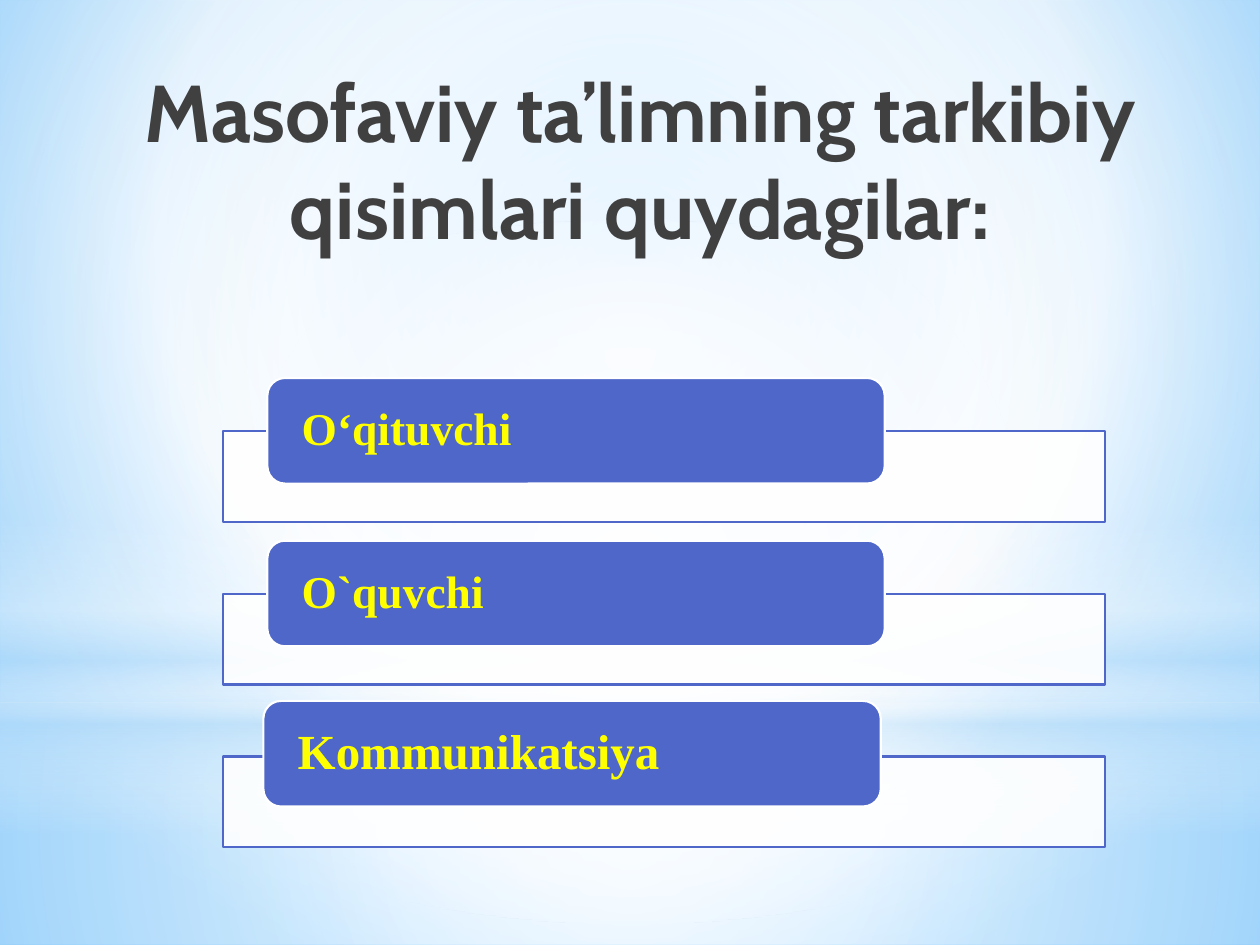
import pptx
import pptx.util
import pptx.dml.color
import pptx.enum.shapes
import pptx.enum.text
import pptx.oxml.ns
from lxml import etree

Cm, Pt = pptx.util.Cm, pptx.util.Pt
RGB = pptx.dml.color.RGBColor
SHAPE = pptx.enum.shapes.MSO_SHAPE
ANCHOR = pptx.enum.text.MSO_ANCHOR
ALIGN = pptx.enum.text.PP_ALIGN
qn = pptx.oxml.ns.qn

WHITE = RGB(0xFF, 0xFF, 0xFF)
PALE = RGB(0xB4, 0xDC, 0xFA)
SKY = RGB(0x9E, 0xD5, 0xFF)
AZURE = RGB(0x5B, 0xB9, 0xFF)
INDIGO = RGB(0x4E, 0x67, 0xC8)
YELLOW = RGB(0xFF, 0xFF, 0x00)
CHARCOAL = RGB(0x40, 0x40, 0x40)

CENTRE = (50, 50, 50, 50)
WIDTH, HEIGHT = 25.4, 19.05


def set_alpha(color, opacity):
    etree.SubElement(color, qn("a:alpha"), val=str(opacity * 1000))


def set_gradient(fill, owner, stops, focus=None):
    """Stops are (position, colour, opacity); no focus means top to bottom."""
    fill.gradient()
    grad = owner.find(".//" + qn("a:gradFill"))
    for child in list(grad):
        grad.remove(child)
    gs_list = etree.SubElement(grad, qn("a:gsLst"))
    for position, color, opacity in stops:
        gs = etree.SubElement(gs_list, qn("a:gs"), pos=str(position * 1000))
        clr = etree.SubElement(gs, qn("a:srgbClr"), val=str(color))
        if opacity < 100:
            set_alpha(clr, opacity)
    if focus:
        radial = etree.SubElement(grad, qn("a:path"), path="circle")
        sides = {k: str(v * 1000) for k, v in zip("ltrb", focus)}
        etree.SubElement(radial, qn("a:fillToRect"), **sides)
    else:
        etree.SubElement(grad, qn("a:lin"), ang="5400000", scaled="0")


def add_box(s, kind, left, top, width, height):
    sp = s.shapes.add_shape(kind, Cm(left), Cm(top), Cm(width), Cm(height))
    sp.shadow.inherit = False
    return sp


def add_backdrop(s, left, top, width, height):
    set_gradient(s.background.fill, s.element,
                 [(0, SKY, 100), (60, WHITE, 100), (100, AZURE, 100)],
                 (20, 10, 20, 60))
    horizon = 14.17
    # Glow layers: shape, top offset, height, stops, focus
    layers = [
        (SHAPE.RECTANGLE, horizon, height - horizon,
         [(0, WHITE, 91), (37, WHITE, 76), (100, PALE, 79)], CENTRE),
        (SHAPE.RECTANGLE, 0, horizon,
         [(0, WHITE, 89), (48, WHITE, 62), (100, PALE, 79)], CENTRE),
        (SHAPE.RECTANGLE, 10.46, 6.35,
         [(0, WHITE, 0), (29, WHITE, 30), (45, PALE, 40),
          (55, WHITE, 26), (65, PALE, 60), (100, WHITE, 0)], None),
        (SHAPE.OVAL, 4.45, horizon,
         [(0, WHITE, 100), (56, WHITE, 0)], CENTRE),
    ]
    for kind, dy, h, stops, focus in layers:
        sp = add_box(s, kind, left, top + dy, width, h)
        set_gradient(sp.fill, sp.element, stops, focus)
        sp.line.fill.background()


def add_title(s, left, top, width, height, text):
    title = s.shapes.title
    title.left, title.top = Cm(left), Cm(top)
    title.width, title.height = Cm(width), Cm(height)
    tf = title.text_frame
    tf.text = text
    tf.vertical_anchor = ANCHOR.TOP
    p = tf.paragraphs[0]
    p.alignment = ALIGN.CENTER
    font = p.runs[0].font
    font.name, font.size, font.bold = "Cabin", Pt(46), True
    font.color.rgb = CHARCOAL
    # Bring the title in front of the backdrop
    title.element.getparent().append(title.element)


def add_item(s, left, top, width, height, text, size, dx, dy):
    # Translucent frame
    frame = add_box(s, SHAPE.RECTANGLE, left, top, width, height)
    frame.fill.solid()
    frame.fill.fore_color.rgb = WHITE
    set_alpha(frame.element.spPr.find(".//" + qn("a:srgbClr")), 90)
    frame.line.color.rgb = INDIGO
    frame.line.width = Pt(1.25)

    # Rounded label overlapping the frame
    label = add_box(s, SHAPE.ROUNDED_RECTANGLE, left + dx, top + dy,
                    width * 0.7, 2.13)
    label.fill.solid()
    label.fill.fore_color.rgb = INDIGO
    label.line.color.rgb = WHITE
    label.line.width = Pt(1.25)
    tf = label.text_frame
    tf.text = text
    tf.word_wrap = True
    tf.vertical_anchor = ANCHOR.MIDDLE
    tf.margin_left = tf.margin_right = Cm(0.59)
    tf.margin_top = tf.margin_bottom = 0
    p = tf.paragraphs[0]
    p.alignment = ALIGN.LEFT
    p.line_spacing = 0.9
    font = p.runs[0].font
    font.name, font.size, font.bold = "Times New Roman", Pt(size), True
    font.color.rgb = YELLOW


def add_item_list(s, left, top, width, pitch, items):
    for i, item in enumerate(items):
        add_item(s, left, top + i * pitch, width, 1.83, *item)


def main():
    prs = pptx.Presentation()
    prs.slide_width, prs.slide_height = Cm(WIDTH), Cm(HEIGHT)
    s = prs.slides.add_slide(prs.slide_layouts[5])
    add_backdrop(s, 0, 0, WIDTH, HEIGHT)
    add_title(s, 1.9, 1.12, 22, 6.81,
              "Masofaviy ta’limning tarkibiy qisimlari quydagilar:")
    # Text, size, label offset from its frame
    add_item_list(s, 4.5, 8.69, 17.78, 3.28, [
        ("O‘qituvchi", 26, 0.89, -1.07),
        ("O`quvchi", 26, 0.89, -1.07),
        ("Kommunikatsiya", 28, 0.81, -1.12),
    ])
    prs.save("out.pptx")


if __name__ == "__main__":
    main()
